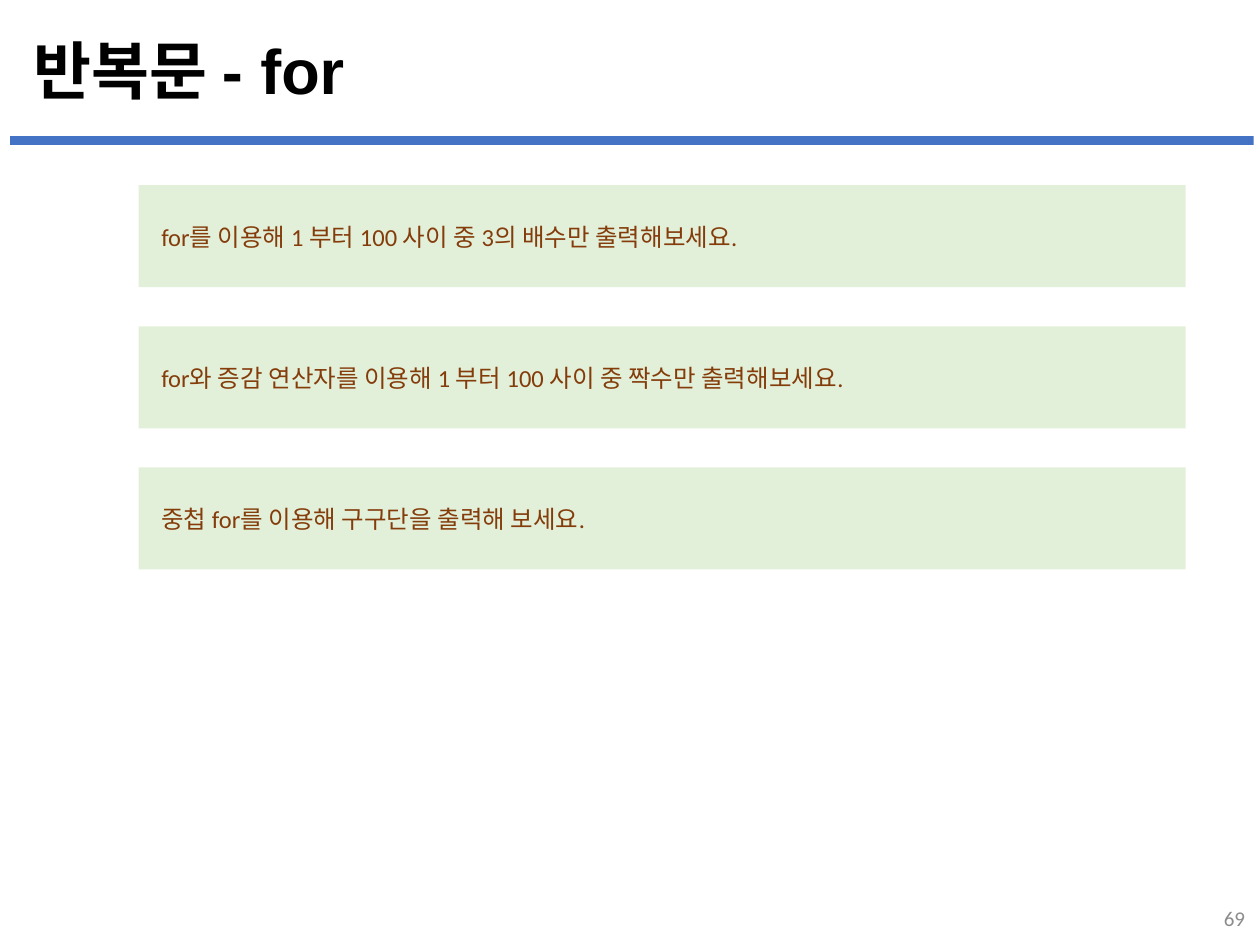
"""Build the slide of practice tasks on the for loop."""
import dataclasses
import typing

import pptx
import pptx.dml.color
import pptx.enum.shapes
import pptx.enum.text
import pptx.util

Inches = pptx.util.Inches
Align = pptx.enum.text.PP_ALIGN


class Font(typing.NamedTuple):
    face: str
    size: int
    color: str
    bold: bool = False


class Box(typing.NamedTuple):
    left: float
    top: float
    width: float
    height: float


@dataclasses.dataclass(frozen=True)
class Theme:
    bar: str = "4472C4"
    card: str = "E2F0D9"
    title: Font = Font("Arial", 36, "000000", True)
    task: Font = Font("Calibri", 14, "843C0B")
    page: Font = Font("Calibri", 12, "8C8C8C")


THEME = Theme()
TASKS = (
    "for를 이용해 1 부터 100 사이 중 3의 배수만 출력해보세요.",
    "for와 증감 연산자를 이용해 1 부터 100 사이 중 짝수만 출력해보세요.",
    "중첩 for를 이용해 구구단을 출력해 보세요.",
)
FIRST = Box(1.1, 1.47, 8.31, 0.81)
STEP = 1.12
INSET = 0.18


def place(box: Box) -> list:
    return [Inches(side) for side in box]


def write(shape, text: str, font: Font, align=Align.LEFT, inset: float = 0.1) -> None:
    frame = shape.text_frame
    frame.text = text
    frame.word_wrap = True
    frame.margin_left = Inches(inset)
    frame.vertical_anchor = pptx.enum.text.MSO_ANCHOR.MIDDLE
    line = frame.paragraphs[0]
    line.alignment = align
    for run in line.runs:
        run.font.name = font.face
        run.font.size = pptx.util.Pt(font.size)
        run.font.bold = font.bold
        run.font.color.rgb = pptx.dml.color.RGBColor.from_string(font.color)


def block(slide, box: Box, fill: str):
    shape = slide.shapes.add_shape(
        pptx.enum.shapes.MSO_SHAPE.RECTANGLE, *place(box))
    shape.shadow.inherit = False
    shape.fill.solid()
    shape.fill.fore_color.rgb = pptx.dml.color.RGBColor.from_string(fill)
    shape.line.fill.background()
    return shape


def label(slide, box: Box, text: str, font: Font, align=Align.LEFT) -> None:
    write(slide.shapes.add_textbox(*place(box)), text, font, align)


def main() -> None:
    deck = pptx.Presentation()
    deck.slide_width, deck.slide_height = Inches(10), Inches(7.5)
    slide = deck.slides.add_slide(deck.slide_layouts[6])
    block(slide, Box(0.08, 1.08, 9.87, 0.07), THEME.bar)
    label(slide, Box(0.17, 0.22, 9.66, 0.66), "반복문 - for", THEME.title)
    for index, task in enumerate(TASKS):
        box = FIRST._replace(top=FIRST.top + index * STEP)
        write(block(slide, box, THEME.card), task, THEME.task, inset=INSET)
    label(slide, Box(7.73, 7.09, 2.25, 0.4), "69", THEME.page, Align.RIGHT)
    deck.save("out.pptx")


if __name__ == "__main__":
    main()
